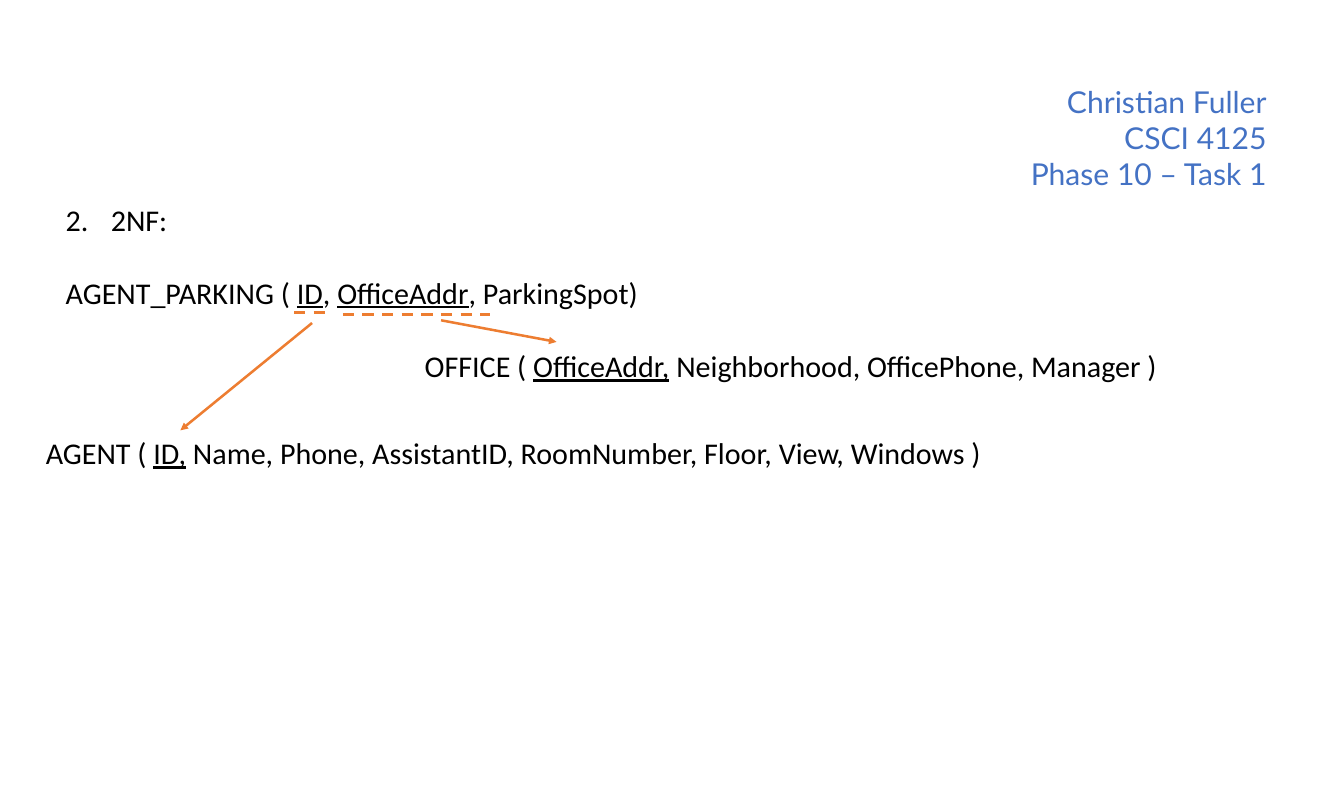
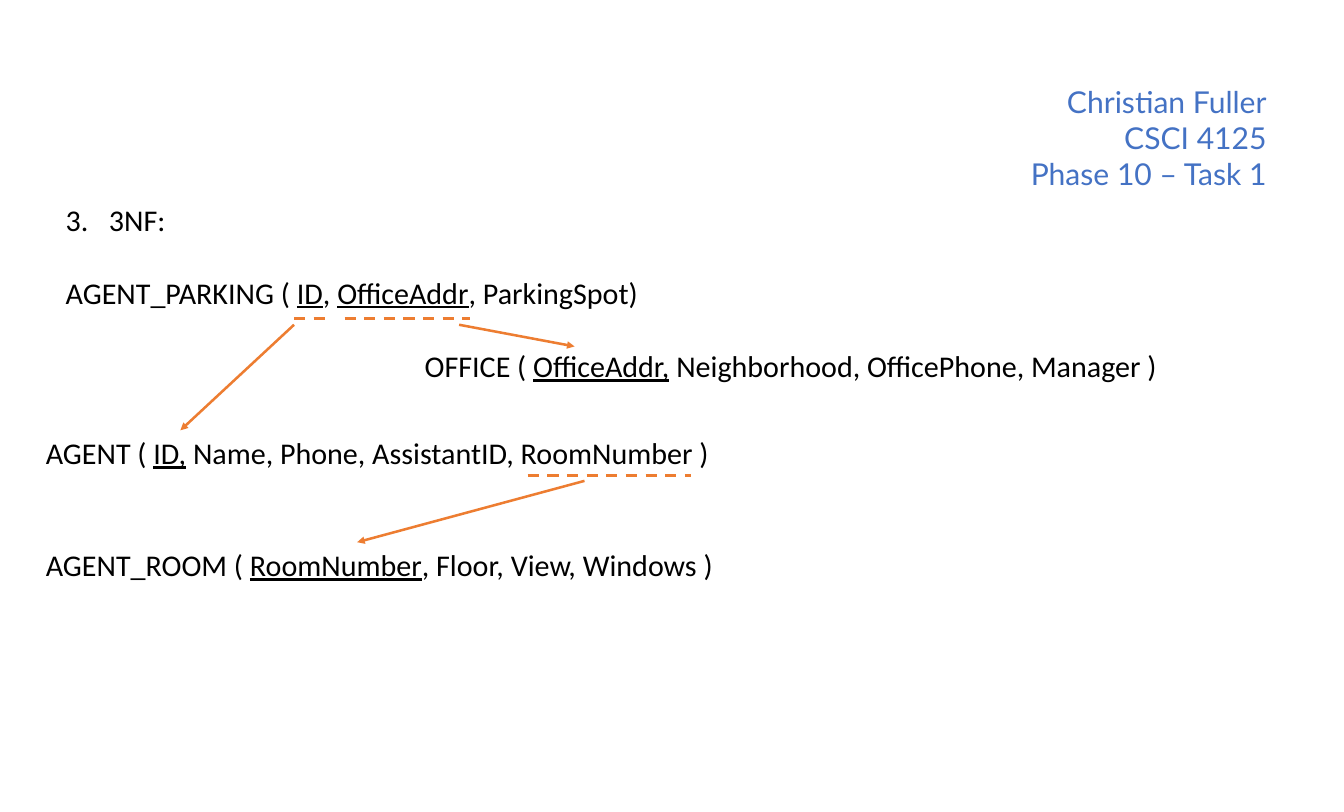
from lxml.etree import SubElement
from pptx import Presentation
from pptx.dml.color import RGBColor
from pptx.enum.dml import MSO_LINE
from pptx.enum.shapes import MSO_CONNECTOR
from pptx.enum.text import MSO_AUTO_SIZE, PP_ALIGN
from pptx.oxml.ns import qn
from pptx.util import Inches, Pt

COLORS = {"background": "FFFFFF", "header": "4472C4", "schema": "000000", "key": "ED7D31"}
SCHEMA_FONT, HEADER_FONT = "Calibri", "Lato"
TEXT_SIZE = Pt(24)
BLANK_LINE = Pt(29.3)

HEADER_BOX = (10.94, 0.87, 3.2, 1.31)
NORMAL_FORM_BOX = (0.63, 2.18, 6.65, 1.31)
HEADER_LINES = ["Christian Fuller", "CSCI 4125", "Phase 10 – Task 1"]

# Asterisks enclose the underlined key attributes
AGENT_PARKING = "AGENT_PARKING ( *ID*, *OfficeAddr*, ParkingSpot)"
OFFICE = ((4.61, 3.8, 8.41, 0.5),
          "OFFICE ( *OfficeAddr,* Neighborhood, OfficePhone, Manager )", 0)

# Relations: box, text, indent
# Foreign keys: box (dash along its top, arrow head at its bottom),
# arrow start inside the box, arrow head's x inside the box
NORMAL_FORMS = [
    {
        "number": 2, "title": "2NF:", "title_indent": 0.5,
        "relations": [
            ((0.33, 4.77, 10.66, 0.5),
             "AGENT ( *ID,* Name, Phone, AssistantID, RoomNumber, Floor, View, Windows )", 0.08),
            OFFICE,
        ],
        "foreign_keys": [
            ((3.26, 3.46, 0.4, 1.31), (0.2, 0.12), -1.26),
            ((3.8, 3.49, 1.63, 0.3), (1.09, 0.06), 2.37),
        ],
    },
    {
        "number": 3, "title": "3NF:", "title_indent": 0.48,
        "relations": [
            ((0.33, 4.77, 7.69, 0.5),
             "AGENT ( *ID,* Name, Phone, AssistantID, RoomNumber )", 0.08),
            OFFICE,
            ((0.33, 6.01, 7.71, 0.5),
             "AGENT_ROOM ( *RoomNumber*, Floor, View, Windows )", 0.08),
        ],
        "foreign_keys": [
            ((3.26, 3.53, 0.4, 1.24), (0, 0.07), -1.26),
            ((3.82, 3.53, 1.39, 0.31), (1.27, 0.07), 2.55),
            ((5.85, 5.27, 1.81, 0.74), (0.63, 0.06), -1.89),
        ],
    },
]


def color(name):
    return RGBColor.from_string(COLORS[name])


def add_text_frame(slide, box, wrap):
    frame = slide.shapes.add_textbox(*map(Inches, box)).text_frame
    frame.word_wrap = wrap
    frame.auto_size = MSO_AUTO_SIZE.SHAPE_TO_FIT_TEXT
    return frame


def style_font(font, typeface, color_name):
    font.name = typeface
    font.size = TEXT_SIZE
    font.color.rgb = color(color_name)


def write_schema(paragraph, text):
    for position, part in enumerate(text.split("*")):
        attribute = paragraph.add_run()
        attribute.text = part
        style_font(attribute.font, SCHEMA_FONT, "schema")
        if position % 2:
            attribute.font.underline = True


def add_header(slide, box):
    frame = add_text_frame(slide, box, True)
    frame.text = "\n".join(HEADER_LINES)
    for line in frame.paragraphs:
        line.alignment = PP_ALIGN.RIGHT
        style_font(line.runs[0].font, HEADER_FONT, "header")


def add_normal_form(slide, box, number, title, indent):
    frame = add_text_frame(slide, box, False)
    # Numbered title
    heading = frame.paragraphs[0]
    properties = heading._p.get_or_add_pPr()
    properties.set("marL", str(Inches(indent)))
    properties.set("indent", str(-Inches(indent)))
    SubElement(properties, qn("a:buFont"), typeface="+mj-lt")
    SubElement(properties, qn("a:buAutoNum"), type="arabicPeriod", startAt=str(number))
    write_schema(heading, title)
    # Parking relation, one line lower
    parking = frame.add_paragraph()
    parking.space_before = BLANK_LINE
    write_schema(parking, AGENT_PARKING)


def add_relation(slide, box, text, indent):
    paragraph = add_text_frame(slide, box, False).paragraphs[0]
    if indent:
        paragraph._p.get_or_add_pPr().set("marL", str(Inches(indent)))
    write_schema(paragraph, text)


def add_key_line(slide, start, end, width):
    connector = slide.shapes.add_connector(
        MSO_CONNECTOR.STRAIGHT, *map(Inches, (*start, *end)))
    connector.line.color.rgb = color("key")
    connector.line.width = Pt(width)
    SubElement(connector._element.spPr, qn("a:effectLst"))
    return connector.line


def add_foreign_key(slide, box, arrow_start, head_x):
    left, top, width, height = box
    # Dashed underline
    underline = add_key_line(slide, (left, top), (left + width, top), 2.25)
    underline.dash_style = MSO_LINE.DASH
    # Arrow to the referenced key
    start_x, start_y = arrow_start
    arrow = add_key_line(slide, (left + start_x, top + start_y),
                         (left + head_x, top + height), 2)
    SubElement(arrow._get_or_add_ln(), qn("a:tailEnd"), type="triangle")


def add_normal_form_slide(presentation, form):
    slide = presentation.slides.add_slide(presentation.slide_layouts[6])
    slide.background.fill.solid()
    slide.background.fill.fore_color.rgb = color("background")
    add_header(slide, HEADER_BOX)
    add_normal_form(slide, NORMAL_FORM_BOX, form["number"], form["title"], form["title_indent"])
    for relation in form["relations"]:
        add_relation(slide, *relation)
    for foreign_key in form["foreign_keys"]:
        add_foreign_key(slide, *foreign_key)


def main():
    presentation = Presentation()
    presentation.slide_width = Inches(14.9)
    presentation.slide_height = Inches(9)
    for form in NORMAL_FORMS:
        add_normal_form_slide(presentation, form)
    presentation.save("out.pptx")


if __name__ == "__main__":
    main()
